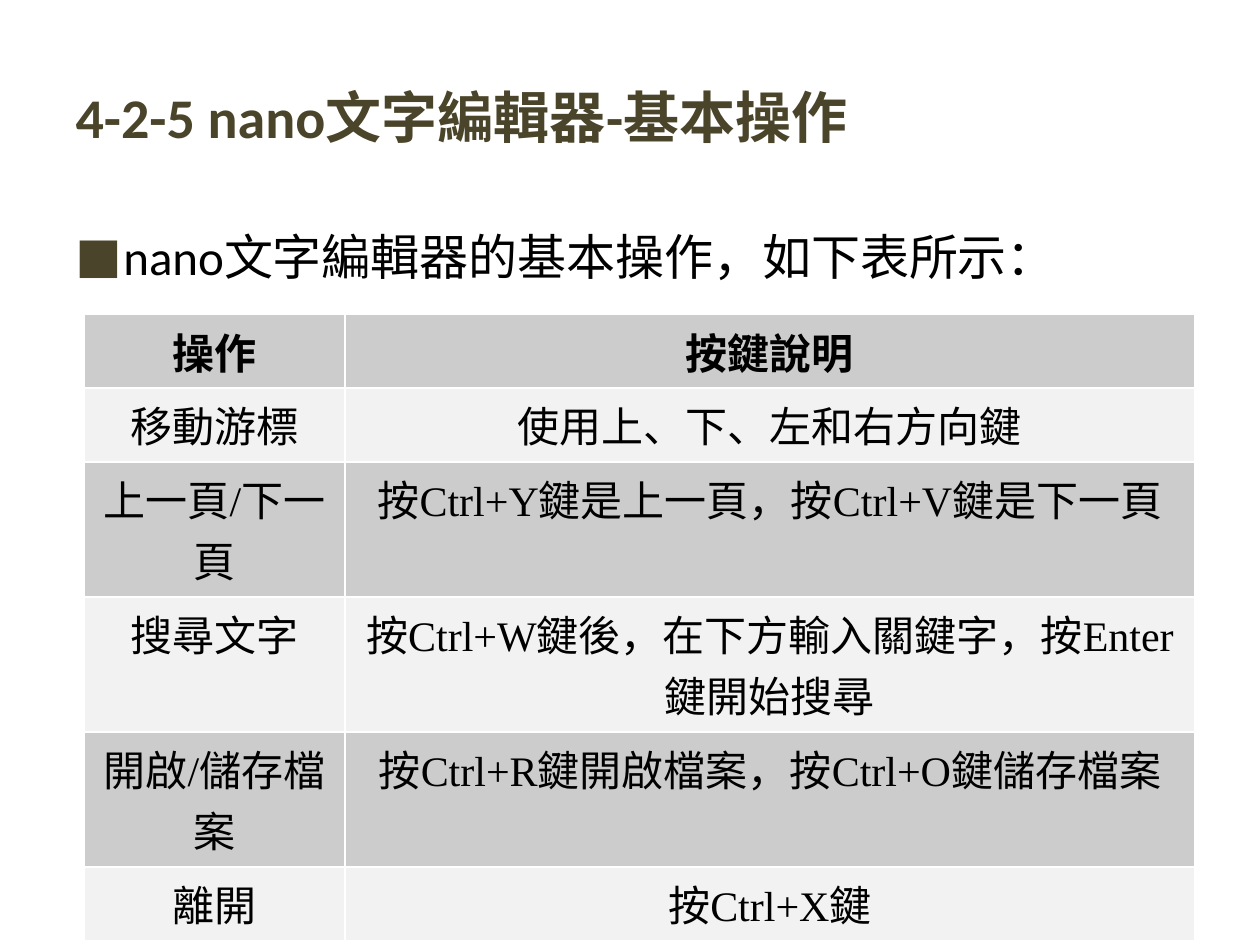
from dataclasses import dataclass

from pptx import Presentation
from pptx.dml.color import RGBColor as RGB
from pptx.enum.text import MSO_ANCHOR as ANCHOR, PP_ALIGN as ALIGN
from pptx.oxml.ns import qn
from pptx.util import Emu, Pt
from lxml.etree import SubElement


@dataclass(frozen=True)
class Theme:
    olive: str = "4A452A"
    black: str = "000000"
    white: str = "FFFFFF"
    band_dark: str = "CCCCCC"
    band_light: str = "F2F2F2"
    sans: str = "Calibri"
    serif: str = "Times New Roman"
    title: int = 32
    body: int = 28
    cell: int = 24
    rule: float = 0.96


def px(n):
    return Emu(round(n * 914400 / 126))


def put_text(tf, text, *, size, font, color, bold=False, align=ALIGN.LEFT, anchor=ANCHOR.TOP):
    tf.word_wrap = True
    tf.vertical_anchor = anchor
    p = tf.paragraphs[0]
    p.alignment = align
    r = p.add_run()
    r.text = text
    r.font.size = Pt(size)
    r.font.name = font
    r.font.bold = bold
    r.font.color.rgb = RGB.from_string(color)
    return p


theme = Theme()
prs = Presentation()
prs.slide_width, prs.slide_height = px(1260), px(945)
s = prs.slides.add_slide(prs.slide_layouts[5])

title = s.shapes.title
title.left, title.top, title.width, title.height = px(63), px(38), px(1134), px(157)
put_text(title.text_frame, "4-2-5 nano文字編輯器-基本操作", size=theme.title, font=theme.sans,
         color=theme.olive, bold=True, anchor=ANCHOR.MIDDLE)

body = s.shapes.add_textbox(px(63), px(220), px(1134), px(624))
p = put_text(body.text_frame, "nano文字編輯器的基本操作，如下表所示：", size=theme.body,
             font=theme.sans, color=theme.black)
pPr = p._p.get_or_add_pPr()
pPr.set("marL", str(px(48)))
pPr.set("indent", str(-px(48)))
SubElement(SubElement(pPr, qn("a:buClr")), qn("a:srgbClr"), val=theme.olive)
SubElement(pPr, qn("a:buFont"), typeface=theme.sans)
SubElement(pPr, qn("a:buChar"), char="■")

rows = [
    ("操作", "按鍵說明", 74),
    ("移動游標", "使用上、下、左和右方向鍵", 74),
    ("上一頁/下一頁", "按Ctrl+Y鍵是上一頁，按Ctrl+V鍵是下一頁", 135),
    ("搜尋文字", "按Ctrl+W鍵後，在下方輸入關鍵字，按Enter鍵開始搜尋", 135),
    ("開啟/儲存檔案", "按Ctrl+R鍵開啟檔案，按Ctrl+O鍵儲存檔案", 135),
    ("離開", "按Ctrl+X鍵", 74),
]
widths = [261, 850]
table = s.shapes.add_table(len(rows), len(widths), px(84), px(314), px(sum(widths)),
                           px(sum(row[-1] for row in rows))).table
for col, width in zip(table.columns, widths):
    col.width = px(width)

for i, (*texts, height) in enumerate(rows):
    table.rows[i].height = px(height)
    for j, text in enumerate(texts):
        cell = table.cell(i, j)
        put_text(cell.text_frame, text, size=theme.cell, font=theme.serif, color=theme.black,
                 bold=i == 0, align=ALIGN.CENTER)
        tcPr = cell._tc.get_or_add_tcPr()
        for side in ("a:lnL", "a:lnR", "a:lnT", "a:lnB"):
            ln = SubElement(tcPr, qn(side), w=str(Pt(theme.rule)))
            SubElement(SubElement(ln, qn("a:solidFill")), qn("a:srgbClr"), val=theme.white)
        cell.fill.solid()
        cell.fill.fore_color.rgb = RGB.from_string(theme.band_light if i % 2 else theme.band_dark)

prs.save("out.pptx")
